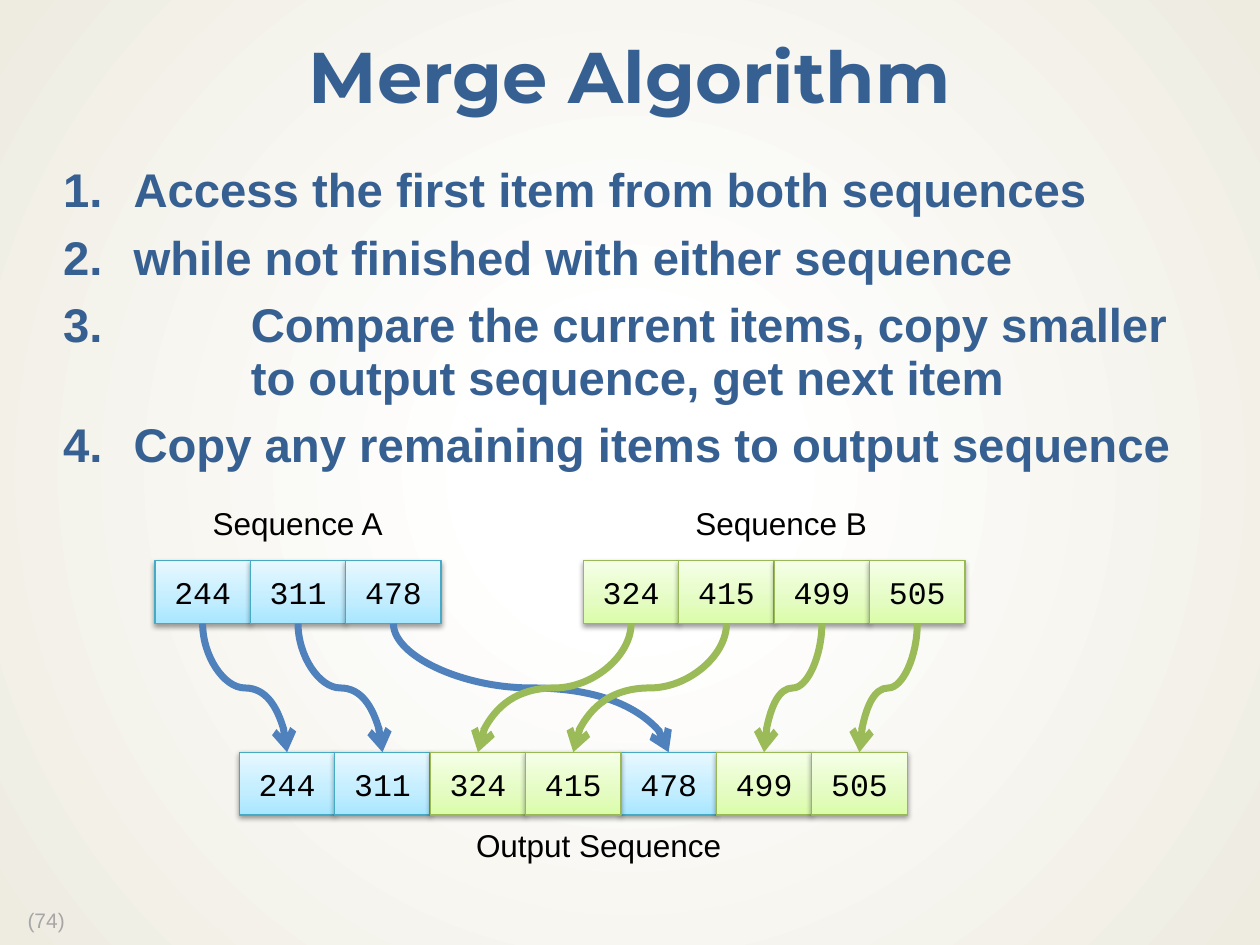
from dataclasses import dataclass

from lxml import etree
from pptx import Presentation
from pptx.dml.color import RGBColor
from pptx.enum.shapes import MSO_CONNECTOR, MSO_SHAPE
from pptx.enum.text import MSO_ANCHOR, MSO_AUTO_SIZE, PP_ALIGN
from pptx.oxml.ns import qn
from pptx.util import Inches, Pt

RECT = MSO_SHAPE.RECTANGLE
CURVE = MSO_CONNECTOR.CURVE
CENTER = PP_ALIGN.CENTER
MIDDLE = MSO_ANCHOR.MIDDLE
NO_FIT = MSO_AUTO_SIZE.NONE

NAVY = RGBColor(0x37, 0x60, 0x92)
BLACK = RGBColor(0x00, 0x00, 0x00)
GRAY = RGBColor(0xA6, 0xA6, 0xA6)
WHITE = RGBColor(0xFF, 0xFF, 0xFF)
CREAM = RGBColor(0xEE, 0xEC, 0xE1)

PITCH = 5.3 / 7
HIGH = 0.5
TOP = 4.45
LOW = 5.97


@dataclass(frozen=True)
class Stop:
    place: int
    color: RGBColor
    alpha: int = 100


@dataclass(frozen=True)
class Theme:
    stops: tuple[Stop, ...]
    edge: RGBColor
    arrow: RGBColor


@dataclass(frozen=True)
class Source:
    left: float
    items: tuple[str, ...]
    theme: Theme


@dataclass(frozen=True)
class Label:
    text: str
    left: float
    top: float
    width: float
    height: float = 0.4
    size: int = 18
    color: RGBColor = BLACK


@dataclass(frozen=True)
class Step:
    lines: tuple[str, ...]
    indent: float = 0.56


BLUE = Theme(
    (Stop(0, RGBColor(0xA7, 0xE6, 0xFF)), Stop(35, RGBColor(0xC1, 0xED, 0xFF)),
     Stop(100, RGBColor(0xE7, 0xF8, 0xFF))),
    RGBColor(0x46, 0xAA, 0xC5), RGBColor(0x4F, 0x81, 0xBD))
GREEN = Theme(
    (Stop(0, RGBColor(0xDA, 0xFD, 0xA7)), Stop(35, RGBColor(0xE4, 0xFC, 0xC2)),
     Stop(100, RGBColor(0xF5, 0xFF, 0xE7))),
    RGBColor(0x98, 0xB9, 0x55), RGBColor(0x9B, 0xBB, 0x59))
SOURCES = (
    Source(1.23, ("244", "311", "478"), BLUE),
    Source(4.63, ("324", "415", "499", "505"), GREEN),
)
OUT_LEFT = 1.9
LABELS = (
    Label("Sequence A", 1.59, 3.95, 1.56),
    Label("Sequence B", 5.42, 3.95, 1.58),
    Label("Output Sequence", 3.68, 6.51, 2.17),
    Label("(74)", 0.12, 7.15, 0.51, 0.28, 12, GRAY),
)
STEPS = (
    Step(("Access the first item from both sequences",)),
    Step(("while not finished with either sequence",)),
    Step(("Compare the current items, copy smaller",
          "to output sequence, get next item"), 1.49),
    Step(("Copy any remaining items to output sequence",)),
)


def add(root, tag: str, **attrs):
    return etree.SubElement(root, qn(tag), {k: str(v) for k, v in attrs.items()})


def tint(root, color: RGBColor, alpha: int) -> None:
    node = add(root, "a:srgbClr", val=color)
    if alpha < 100:
        add(node, "a:alpha", val=alpha * 1000)


def blend(root, stops: tuple[Stop, ...], round_fill: bool = False) -> None:
    grad = next(root.iter(qn("a:gradFill")))
    for child in list(grad):
        grad.remove(child)
    group = add(grad, "a:gsLst")
    for stop in stops:
        tint(add(group, "a:gs", pos=stop.place * 1000), stop.color, stop.alpha)
    if round_fill:
        shade = add(grad, "a:path", path="circle")
        add(shade, "a:fillToRect", l=50000, t=50000, r=50000, b=50000)
    else:
        add(grad, "a:lin", ang=16200000, scaled=1)


def write(para, text: str, face: str, size: int, color: RGBColor,
          bold: bool = False) -> None:
    run = para.add_run()
    run.text = text
    run.font.name = face
    run.font.size = Pt(size)
    run.font.bold = bold
    run.font.color.rgb = color


def place(shape, left: float, top: float, width: float, height: float) -> None:
    shape.left, shape.top = Inches(left), Inches(top)
    shape.width, shape.height = Inches(width), Inches(height)


def pad(frame, side: float, edge: float) -> None:
    frame.margin_left = frame.margin_right = Inches(side)
    frame.margin_top = frame.margin_bottom = Inches(edge)


def draw_title(title) -> None:
    place(title, 0, 0.17, 10, 0.94)
    frame = title.text_frame
    frame.auto_size = NO_FIT
    frame.vertical_anchor = MIDDLE
    pad(frame, 0.13, 0.06)
    para = frame.paragraphs[0]
    para.alignment = CENTER
    para.line_spacing = 0.9
    write(para, "Merge Algorithm", "Montserrat", 41, NAVY, True)


def draw_steps(body) -> None:
    place(body, 0.38, 1.25, 9.25, 5.65)
    frame = body.text_frame
    frame.auto_size = NO_FIT
    pad(frame, 0.12, 0.06)
    for rank, step in enumerate(STEPS):
        para = frame.add_paragraph() if rank else frame.paragraphs[0]
        props = para._p.get_or_add_pPr()
        props.set("marL", str(Inches(step.indent)))
        props.set("indent", str(-Inches(step.indent)))
        add(props, "a:buFont", typeface="+mj-lt")
        add(props, "a:buAutoNum", type="arabicPeriod")
        para.line_spacing = 0.94
        para.space_before = Pt(8 if rank else 0)
        for part, line in enumerate(step.lines):
            if part:
                para.add_line_break()
            write(para, line, "Arial", 27, NAVY, True)


def draw_cell(shapes, text: str, left: float, top: float, theme: Theme):
    cell = shapes.add_shape(RECT, Inches(left), Inches(top), Inches(PITCH), Inches(HIGH))
    cell.shadow.inherit = False
    cell.fill.gradient()
    blend(cell._element.spPr, theme.stops)
    cell.line.color.rgb = theme.edge
    cell.line.width = Pt(0.75)
    glow = add(cell._element.spPr.find(qn("a:effectLst")), "a:outerShdw",
               blurRad=Pt(3.1), dist=Pt(1.6), dir=5400000, rotWithShape=0)
    tint(glow, BLACK, 38)
    cell.text_frame.vertical_anchor = MIDDLE
    para = cell.text_frame.paragraphs[0]
    para.alignment = CENTER
    write(para, text, "Courier New", 18, BLACK)
    return cell


def draw_arrow(shapes, start, end, color: RGBColor) -> None:
    line = shapes.add_connector(CURVE, 0, 0, 0, 0)
    line.begin_connect(start, 2)
    line.end_connect(end, 0)
    head = start.left + start.width // 2
    tail = end.left + end.width // 2
    base = start.top + start.height
    drop, shift = end.top - base, abs(tail - head)
    line.left = (head + tail - drop) // 2
    line.top = base + (drop - shift) // 2
    line.width, line.height = drop, shift
    right = tail > head
    props = line._element.spPr
    frame = props.find(qn("a:xfrm"))
    frame.set("rot", "16200000" if right else "5400000")
    frame.set("flipH", "1" if right else "0")
    frame.set("flipV", "0")
    line.line.color.rgb = color
    line.line.width = Pt(4)
    add(props.find(qn("a:ln")), "a:tailEnd", type="arrow")
    add(props, "a:effectLst")


def draw_label(shapes, label: Label) -> None:
    box = shapes.add_textbox(Inches(label.left), Inches(label.top),
                             Inches(label.width), Inches(label.height))
    box.text_frame.word_wrap = False
    write(box.text_frame.paragraphs[0], label.text, "Arial", label.size, label.color)


def main() -> None:
    deck = Presentation()
    deck.slide_width, deck.slide_height = Inches(10), Inches(7.5)
    slide = deck.slides.add_slide(deck.slide_layouts[1])
    slide.background.fill.gradient()
    blend(slide._element, (Stop(18, WHITE, 53), Stop(100, CREAM)), True)
    shapes = slide.shapes
    draw_title(shapes.title)
    draw_steps(slide.placeholders[1])
    merged = sorted(item for source in SOURCES for item in source.items)
    links = []
    for source in SOURCES:
        for rank, item in enumerate(source.items):
            start = draw_cell(shapes, item, source.left + rank * PITCH, TOP, source.theme)
            spot = OUT_LEFT + merged.index(item) * PITCH
            end = draw_cell(shapes, item, spot, LOW, source.theme)
            links.append((start, end, source.theme.arrow))
    for label in LABELS:
        draw_label(shapes, label)
    for start, end, color in links:
        draw_arrow(shapes, start, end, color)
    deck.save("out.pptx")


if __name__ == "__main__":
    main()
